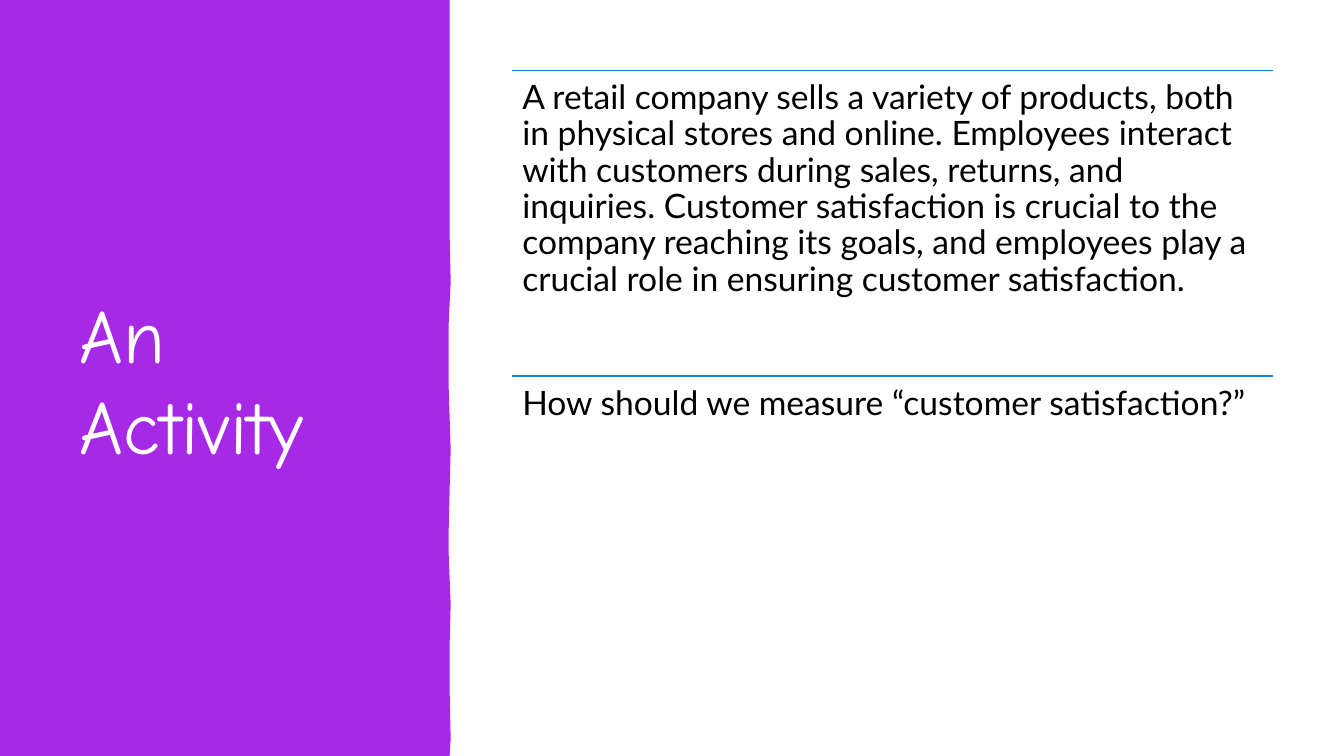
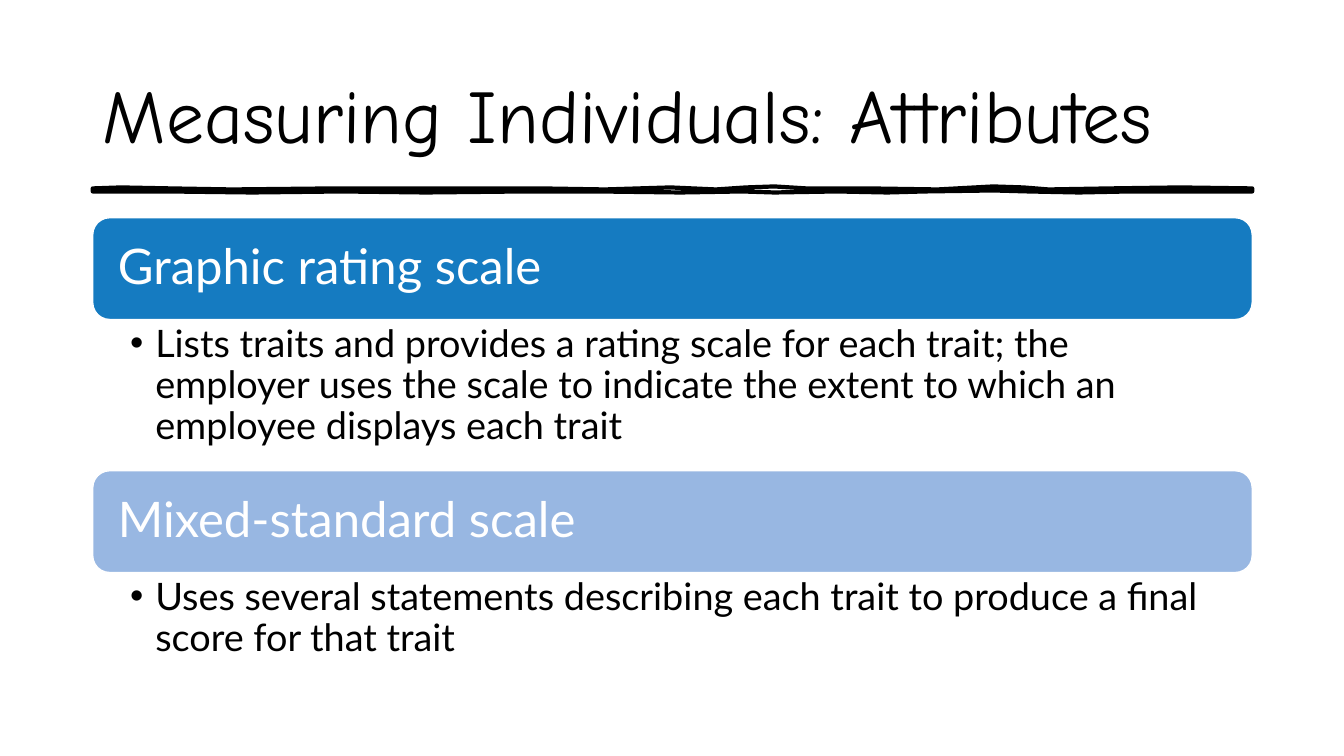
import pptx
import pptx.util
import pptx.dml.color
import pptx.enum.shapes
import pptx.enum.text
import pptx.oxml.ns
import lxml.etree

PX = 9144
WIDTH, HEIGHT = 1333, 750
COLORS = {
    "ink": "000000",
    "paper": "FFFFFF",
    "band": "A629E7",
    "divider": "1787D5",
    "strong": "157BC1",
    "light": "98B7E2",
}
TITLE_FONT, BODY_FONT = "Comic Neue", "Lato"
MIDDLE = pptx.enum.text.MSO_ANCHOR.MIDDLE
TOP = pptx.enum.text.MSO_ANCHOR.TOP

BAND_EDGE = [
    (446, 0), (446, 63), (446, 102), (446, 141), (446, 174), (446, 233),
    (447, 280), (445, 322), (445, 383), (447, 446), (446, 486), (445, 528),
    (445, 549), (447, 600), (446, 639), (446, 685), (447, 733), (446, 750),
]
RULE_OUTLINE = [
    (92, 187), (120, 186), (170, 187), (230, 188), (330, 187), (370, 187),
    (465, 187), (537, 187), (600, 188), (665, 186), (710, 188), (740, 186),
    (768, 185), (800, 187), (862, 187), (930, 188), (985, 185), (1015, 186),
    (1040, 188), (1100, 187), (1170, 186), (1242, 187),
    (1242, 190), (1120, 190), (1070, 191), (1020, 190), (985, 189),
    (917, 190), (880, 191), (830, 190), (768, 191), (736, 190), (675, 191),
    (592, 190), (520, 190), (422, 191), (339, 190), (250, 191), (166, 190),
    (92, 190),
]


def px(length):
    return pptx.util.Emu(length * PX)


def rgb(name):
    return pptx.dml.color.RGBColor.from_string(COLORS[name])


def apply(target, values):
    for name, value in values.items():
        setattr(target, name, value)


class Deck:
    def __init__(self):
        self.deck = pptx.Presentation()
        self.deck.slide_width, self.deck.slide_height = px(WIDTH), px(HEIGHT)
        self.page = None

    def new_page(self):
        self.page = self.deck.slides.add_slide(self.deck.slide_layouts[3])

    def place(self, box, left, top, width, height):
        apply(box, {"left": px(left), "top": px(top),
                    "width": px(width), "height": px(height)})

    def fill_text(self, box, text, font, size, color, anchor, insets, bullet=0):
        frame = box.text_frame
        names = ("margin_left", "margin_top", "margin_right", "margin_bottom")
        apply(frame, dict(zip(names, map(px, insets))))
        apply(frame, {"word_wrap": True, "vertical_anchor": anchor,
                      "auto_size": pptx.enum.text.MSO_AUTO_SIZE.NONE})
        para = frame.paragraphs[0]
        props = para._p.get_or_add_pPr()
        props.set("marL", str(px(bullet)))
        props.set("indent", str(-px(bullet)))
        mark = "a:buChar" if bullet else "a:buNone"
        mark = lxml.etree.SubElement(props, pptx.oxml.ns.qn(mark))
        if bullet:
            mark.set("char", "•")
        apply(para, {"alignment": pptx.enum.text.PP_ALIGN.LEFT,
                     "line_spacing": 1.0 if font == TITLE_FONT else 0.9,
                     "space_before": pptx.util.Pt(0)})
        span = para.add_run()
        span.text = text
        apply(span.font, {"name": font, "size": pptx.util.Pt(size), "bold": False})
        span.font.color.rgb = rgb(color)

    def title(self, text, color, *area):
        box = self.page.shapes.title
        self.place(box, *area)
        self.fill_text(box, text, TITLE_FONT, 54, color, MIDDLE, (10, 5, 10, 5))

    def body(self, index, text, size, insets, area, bullet=0):
        box = self.page.placeholders[index]
        self.place(box, *area)
        self.fill_text(box, text, BODY_FONT, size, "ink", TOP, insets, bullet)

    def outline(self, points, fill=None, line=None, weight=1):
        builder = self.page.shapes.build_freeform(*points[0], scale=PX)
        builder.add_line_segments(points[1:], close=True)
        shape = builder.convert_to_shape()
        self.paint(shape, fill, line, weight)
        self.page.shapes[0].element.addprevious(shape.element)

    def paint(self, shape, fill, line, weight=1):
        shape.shadow.inherit = False
        for part, color in ((shape.fill, fill), (shape.line.fill, line)):
            if color:
                part.solid()
                part.fore_color.rgb = rgb(color)
            else:
                part.background()
        if line:
            shape.line.width = pptx.util.Pt(weight)

    def divider(self, left, top, width):
        line = self.page.shapes.add_connector(
            pptx.enum.shapes.MSO_CONNECTOR.STRAIGHT,
            px(left), px(top), px(left + width), px(top))
        line.line.color.rgb = rgb("divider")
        line.line.width = pptx.util.Pt(1)
        lxml.etree.SubElement(line.element.spPr, pptx.oxml.ns.qn("a:effectLst"))

    def bar(self, text, fill, *area):
        shape = self.page.shapes.add_shape(
            pptx.enum.shapes.MSO_SHAPE.ROUNDED_RECTANGLE, *map(px, area))
        self.paint(shape, fill, "paper")
        self.fill_text(shape, text, BODY_FONT, 35, "paper", MIDDLE, (20, 15, 20, 15))


def activity_page(deck):
    deck.new_page()
    deck.outline([(0, 0), *BAND_EDGE, (0, HEIGHT)], fill="band")
    deck.title("An Activity", "paper", 69, 70, 339, 611)
    left, top, width, height = 508, 70, 755, 303
    texts = [
        "A retail company sells a variety of products, both in physical stores "
        "and online. Employees interact with customers during sales, returns, "
        "and inquiries. Customer satisfaction is crucial to the company reaching "
        "its goals, and employees play a crucial role in ensuring customer "
        "satisfaction.",
        "How should we measure “customer satisfaction?”",
    ]
    for index, text in enumerate(texts):
        y = top + index * height
        deck.divider(left, y, width)
        deck.body(index + 1, text, 24, (10, 10, 10, 10), (left, y, width, height))


def attributes_page(deck):
    deck.new_page()
    deck.outline(RULE_OUTLINE, line="ink", weight=3)
    left, top, width, bar_height, pitch = 92, 216, 1150, 101, 251
    deck.title("Measuring Individuals: Attributes", "ink", left, 40, width, 145)
    scales = [
        ("Graphic rating scale", "strong",
         "Lists traits and provides a rating scale for each trait; the employer "
         "uses the scale to indicate the extent to which an employee displays "
         "each trait"),
        ("Mixed-standard scale", "light",
         "Uses several statements describing each trait to produce a final score "
         "for that trait"),
    ]
    for index, (name, fill, text) in enumerate(scales):
        y = top + index * pitch
        deck.bar(name, fill, left, y, width, bar_height)
        deck.body(index + 1, text, 27, (37, 5, 27, 5),
                  (left, y + bar_height, width, pitch - bar_height), bullet=25)


def main():
    deck = Deck()
    activity_page(deck)
    attributes_page(deck)
    deck.deck.save("out.pptx")


if __name__ == "__main__":
    main()
